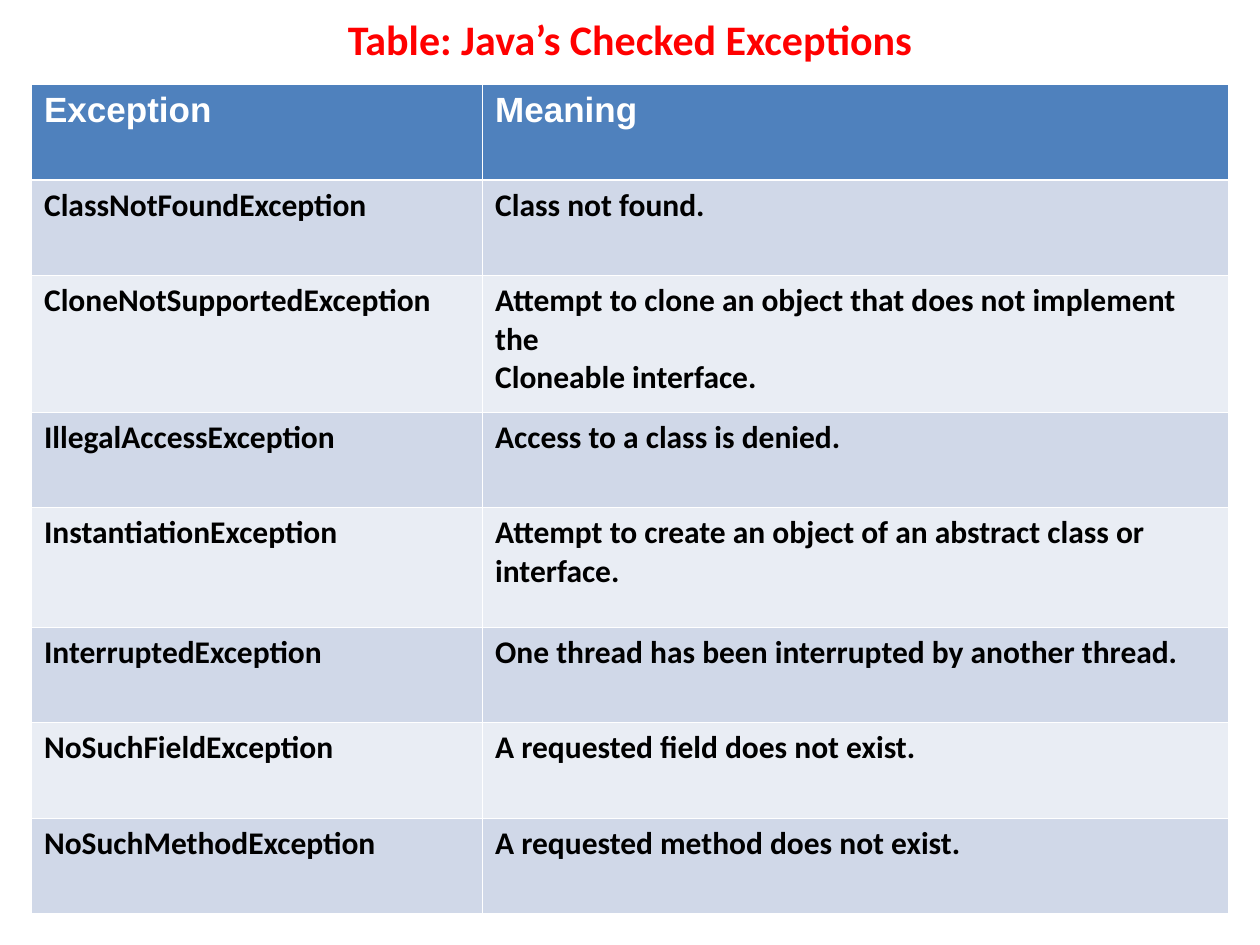
from lxml import etree
from pptx import Presentation
from pptx.dml.color import RGBColor
from pptx.enum.text import MSO_ANCHOR, PP_ALIGN
from pptx.oxml.ns import qn
from pptx.util import Inches, Pt

CENTER = PP_ALIGN.CENTER
MIDDLE = MSO_ANCHOR.MIDDLE
TITLE_LAYOUT = 5

RED = RGBColor(0xFF, 0x00, 0x00)
WHITE = RGBColor(0xFF, 0xFF, 0xFF)
BLACK = RGBColor(0x00, 0x00, 0x00)
HEADER_BLUE = RGBColor(0x4F, 0x81, 0xBD)
BANDS = RGBColor(0xD0, 0xD8, 0xE8), RGBColor(0xE9, 0xED, 0xF4)

SLIDE_SIZE = Inches(10), Inches(7.5)
TITLE_BOX = Inches(0.5), 0, Inches(9), Inches(0.62)
TABLE_BOX = Inches(0.25), Inches(0.67), Inches(9.5), Inches(6.58)
COLUMN_WEIGHTS = 3.58, 5.92
ROW_WEIGHTS = 0.76, 0.76, 1.09, 0.76, 0.95, 0.76, 0.76, 0.76
THIN, THICK = Pt(0.45), Pt(1.47)

TITLE_FONT = {"name": "Calibri", "size": Pt(24), "bold": True}
HEADER_FONT = {"name": "Arial", "size": Pt(20), "bold": True}
BODY_FONT = {"name": "Calibri", "size": Pt(18), "bold": True}

EXCEPTIONS = [
    ("Exception", "Meaning"),
    ("ClassNotFoundException", "Class not found."),
    ("CloneNotSupportedException",
     "Attempt to clone an object that does not implement the\nCloneable interface."),
    ("IllegalAccessException", "Access to a class is denied."),
    ("InstantiationException",
     "Attempt to create an object of an abstract class or interface."),
    ("InterruptedException", "One thread has been interrupted by another thread."),
    ("NoSuchFieldException", "A requested field does not exist."),
    ("NoSuchMethodException", "A requested method does not exist."),
]


def write_text(frame, text, font, color):
    """Fill a text frame, one paragraph per line, in a single format."""
    frame.text = text
    for paragraph in frame.paragraphs:
        for run in paragraph.runs:
            for attribute, value in font.items():
                setattr(run.font, attribute, value)
            run.font.color.rgb = color


def draw_borders(cell, top, bottom):
    """Give a cell white borders with the given top and bottom widths."""
    properties = cell._tc.get_or_add_tcPr()
    widths = {"a:lnL": THIN, "a:lnR": THIN, "a:lnT": top, "a:lnB": bottom}
    for side, width in widths.items():
        line = etree.SubElement(properties, qn(side), w=str(int(width)))
        fill = etree.SubElement(line, qn("a:solidFill"))
        etree.SubElement(fill, qn("a:srgbClr"), val=str(WHITE))


def share_out(lines, weights, length):
    """Divide a length among rows or columns; return each size by weight."""
    return [(line, round(length * weight / sum(weights)))
            for line, weight in zip(lines, weights)]


def add_title(slide, box):
    """Place and format the slide title in the box."""
    title = slide.shapes.title
    title.left, title.top, title.width, title.height = box
    write_text(title.text_frame, "Table: Java’s Checked Exceptions", TITLE_FONT, RED)
    title.text_frame.vertical_anchor = MIDDLE
    title.text_frame.paragraphs[0].alignment = CENTER


def add_exception_table(slide, box):
    """Build the banded table of exceptions and meanings in the box."""
    table = slide.shapes.add_table(len(EXCEPTIONS), len(COLUMN_WEIGHTS), *box).table
    for column, width in share_out(table.columns, COLUMN_WEIGHTS, box[2]):
        column.width = width
    for row, height in share_out(table.rows, ROW_WEIGHTS, box[3]):
        row.height = height
    for index, entry in enumerate(EXCEPTIONS):
        header = index == 0
        font, color = (HEADER_FONT, WHITE) if header else (BODY_FONT, BLACK)
        for cell, text in zip(table.rows[index].cells, entry):
            write_text(cell.text_frame, text, font, color)
            draw_borders(cell, THICK if index == 1 else THIN, THICK if header else THIN)
            cell.fill.solid()
            cell.fill.fore_color.rgb = HEADER_BLUE if header else BANDS[(index - 1) % 2]


def main():
    """Create the presentation and save it."""
    deck = Presentation()
    deck.slide_width, deck.slide_height = SLIDE_SIZE
    slide = deck.slides.add_slide(deck.slide_layouts[TITLE_LAYOUT])
    add_title(slide, TITLE_BOX)
    add_exception_table(slide, TABLE_BOX)
    deck.save("out.pptx")


if __name__ == "__main__":
    main()
